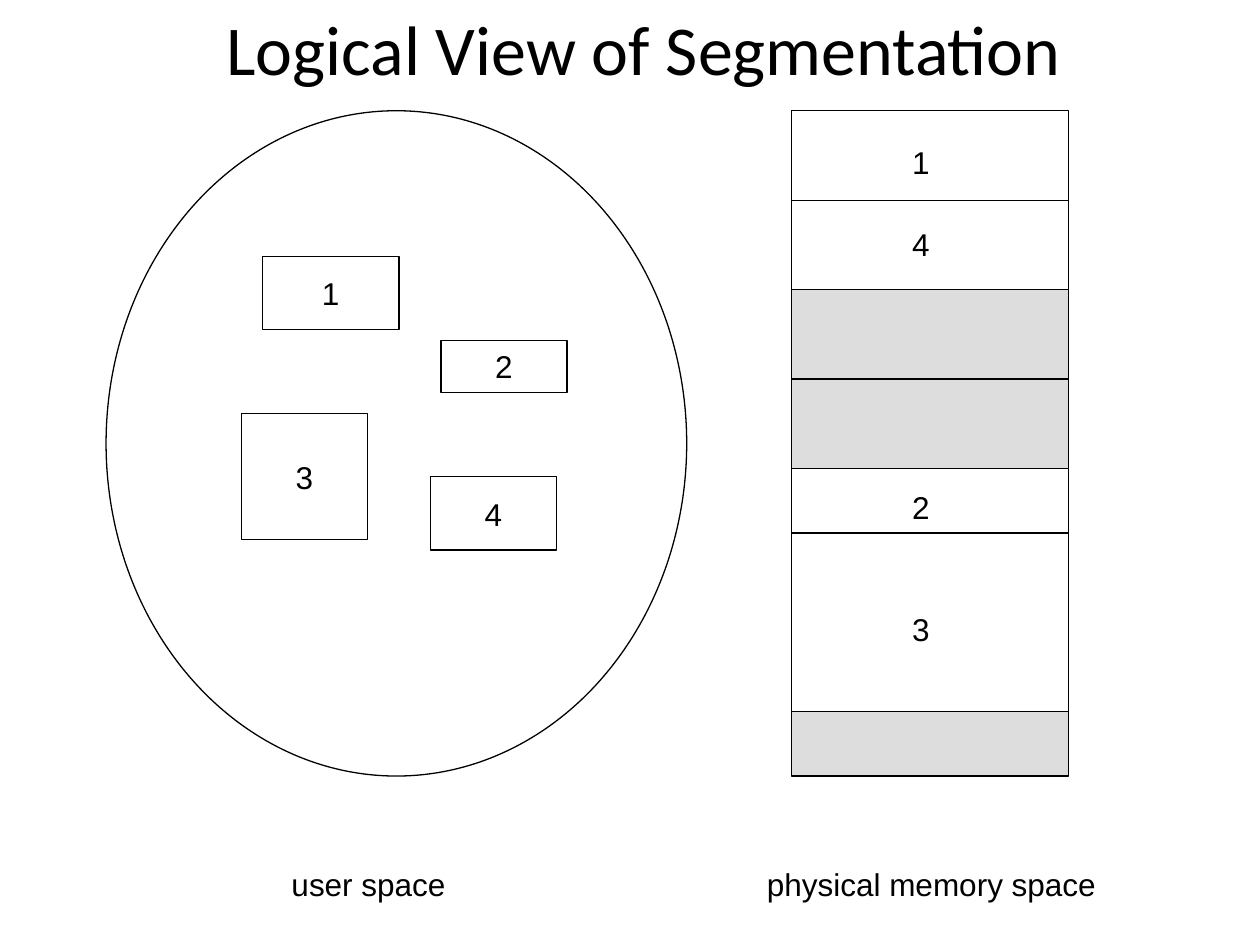
from lxml import etree
from pptx import Presentation
from pptx.dml.color import RGBColor
from pptx.enum.shapes import MSO_CONNECTOR, MSO_SHAPE
from pptx.enum.text import MSO_ANCHOR, PP_ALIGN
from pptx.oxml.ns import qn
from pptx.util import Inches, Pt

LINE = MSO_CONNECTOR.STRAIGHT
RECT, OVAL = MSO_SHAPE.RECTANGLE, MSO_SHAPE.OVAL
MID, CENTER = MSO_ANCHOR.MIDDLE, PP_ALIGN.CENTER
BLACK, WHITE, GRAY = "000000", "FFFFFF", "DDDDDD"

COLS, ROWS = 120, 90
TITLE = ("Logical View of Segmentation", 10.1, 1.2, 102.4, 7.6)
TOP, TALL = 10.55, 63.36
USER = (10.1, TOP, 55.3, TALL)
PARTS = [
    ("1", 25, 24.4, 13, 7),
    ("3", 23, 39.4, 12, 12),
    ("2", 42, 32.4, 12, 5),
    ("4", 41, 45.4, 12, 7),
]
MEM_X, MEM_W = 75.4, 26.4
BLOCKS = [(17.04, WHITE), (17.04, GRAY), (23.16, WHITE), (6.12, GRAY)]
HALVED = [0, 1]
CUT = TOP + 2 * 17.04 + 6.12
MARKS = [("1", 15.4), ("4", 23.2), ("2", 48.3), ("3", 59.9)]
MARK_X, MARK_W, MARK_H = 87.7, 7.2, 5.8
NAMES = [("user space", 35.1, 18), ("physical memory space", 88.7, 34)]
NAME_Y, NAME_H = 81.8, 4.8

deck = Presentation()
deck.slide_width, deck.slide_height = Inches(10), Inches(7.5)
slide = deck.slides.add_slide(deck.slide_layouts[5])


def grid(x, y):
    return int(deck.slide_width * x / COLS), int(deck.slide_height * y / ROWS)


def color(code):
    return RGBColor.from_string(code)


def write(shape, text, size=18, font="Arial", wrap=False, space=1):
    frame = shape.text_frame
    frame.word_wrap = wrap
    frame.vertical_anchor = MID
    para = frame.paragraphs[0]
    para.alignment = CENTER
    para.line_spacing = space
    run = para.add_run()
    run.text = text
    run.font.size = Pt(size)
    run.font.name = font
    run.font.color.rgb = color(BLACK)


def edge(line):
    line.color.rgb = color(BLACK)
    line.width = Pt(0.75)


def draw(home, kind, x, y, w, h, fill=WHITE):
    shape = home.add_shape(kind, *grid(x, y), *grid(w, h))
    shape.shadow.inherit = False
    shape.fill.solid()
    shape.fill.fore_color.rgb = color(fill)
    edge(shape.line)
    return shape


def split(home, y):
    rule = home.add_connector(LINE, *grid(MEM_X, y), *grid(MEM_X + MEM_W, y))
    edge(rule.line)
    etree.SubElement(rule._element.spPr, qn("a:effectLst"))
    return rule


def label(home, text, mid_x, mid_y, w, h):
    box = home.add_textbox(*grid(mid_x - w / 2, mid_y - h / 2), *grid(w, h))
    write(box, text)


head = slide.shapes.title
text, x, y, w, h = TITLE
head.left, head.top = grid(x, y)
head.width, head.height = grid(w, h)
write(head, text, size=40, font="Calibri", wrap=True, space=0.9)

draw(slide.shapes, OVAL, *USER)
for text, *place in PARTS:
    write(draw(slide.shapes, RECT, *place), text)

memory = slide.shapes.add_group_shape().shapes
y = TOP
for i, (h, fill) in enumerate(BLOCKS):
    block = draw(memory, RECT, MEM_X, y, MEM_W, h, fill)
    if i in HALVED:
        rule = split(memory, y + h / 2)
        rule.begin_connect(block, 1)
        rule.end_connect(block, 3)
    y += h
split(memory, CUT)
for text, y in MARKS:
    label(memory, text, MARK_X, y, MARK_W, MARK_H)

for text, x, w in NAMES:
    label(slide.shapes, text, x, NAME_Y + NAME_H / 2, w, NAME_H)

deck.save("out.pptx")
